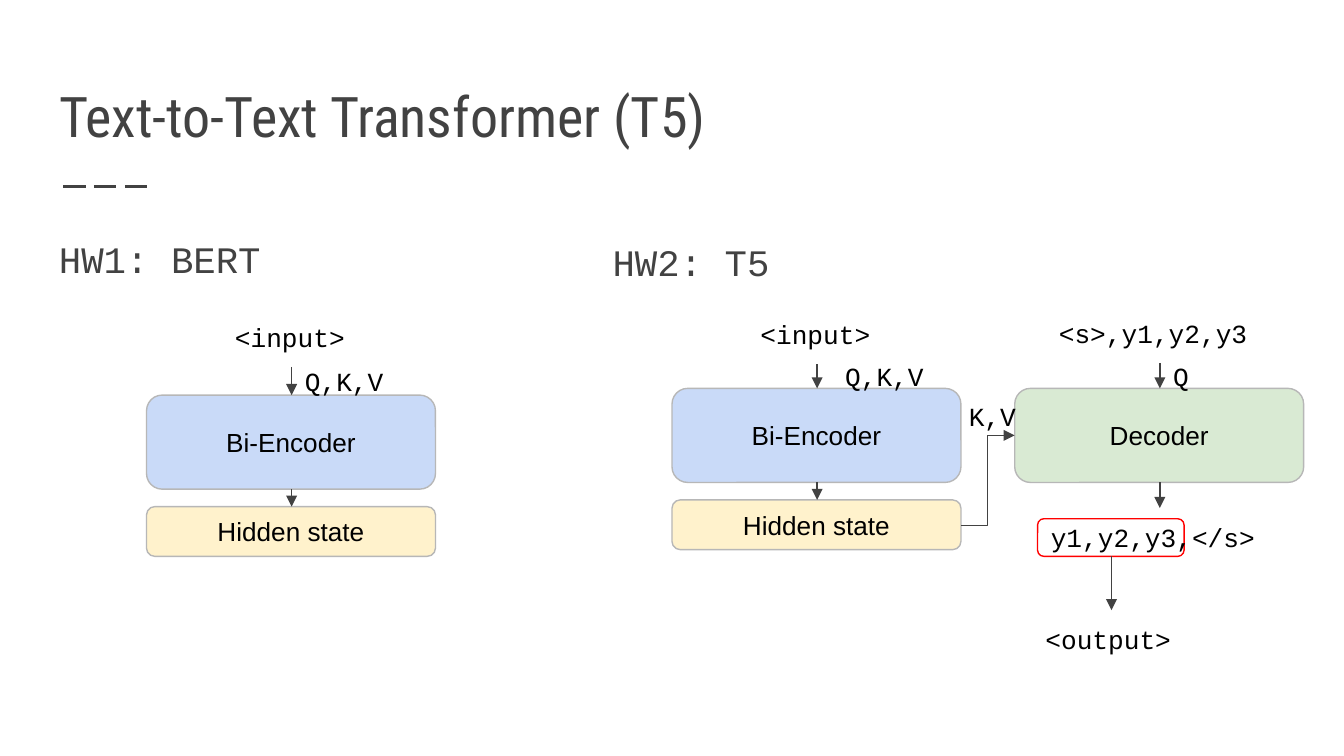
from lxml import etree
from pptx import Presentation
from pptx import util as u
from pptx.dml.color import RGBColor
from pptx.enum import dml, shapes, text
from pptx.oxml.ns import qn

PX = u.Inches(0.01)  # 100 px to the inch
INK, BLACK, BORDER = "424242", "000000", "B7B7B7"
BLUE, YELLOW, GREEN, RED = "C9DAF8", "FFF2CC", "D9EAD3", "FF0000"
color = RGBColor.from_string


def write(shape, words, font, size, ink, align="LEFT", anchor="TOP"):
    frame = shape.text_frame
    frame.text = words
    settings = {"word_wrap": True, "auto_size": text.MSO_AUTO_SIZE.NONE,
                "vertical_anchor": text.MSO_ANCHOR[anchor]}
    for side in ("left", "top", "right", "bottom"):
        settings["margin_" + side] = 10 * PX
    for name, value in settings.items():
        setattr(frame, name, value)
    para = frame.paragraphs[0]
    para.alignment = text.PP_ALIGN[align]
    span = para.runs[0]
    for name, value in {"name": font, "size": u.Pt(size), "bold": False}.items():
        setattr(span.font, name, value)
    span.font.color.rgb = color(ink)
    return para


def connect(kind, start_x, start_y, end_x, end_y, width=0.75):
    ends = [n * PX for n in (start_x, start_y, end_x, end_y)]
    line = page.shapes.add_connector(shapes.MSO_CONNECTOR[kind], *ends)
    line.line.color.rgb = color(INK)
    line.line.width = u.Pt(width)
    etree.SubElement(line._element.spPr, qn("a:effectLst"))
    return line


deck = Presentation()
deck.slide_width = 1000 * PX
deck.slide_height = deck.slide_width * 9 // 16
page = deck.slides.add_slide(deck.slide_layouts[5])

# Title with its dashed rule
title = page.shapes.title
for name, value in {"left": 34, "top": 41, "width": 932, "height": 80}.items():
    setattr(title, name, value * PX)
write(title, "Text-to-Text Transformer (T5)", "Roboto Condensed", 30, INK, anchor="BOTTOM")
rule = connect("STRAIGHT", 47, 139, 114, 139, 1.5)
rule.line.dash_style = dml.MSO_LINE.LONG_DASH

# Model blocks
blocks = [
    ("Decoder", 755, 289, 215, 70, GREEN, BORDER),
    ("Bi-Encoder", 109, 294, 215, 70, BLUE, BORDER),
    ("Hidden state", 109, 377, 215, 37, YELLOW, BORDER),
    ("Bi-Encoder", 500, 289, 215, 70, BLUE, BORDER),
    ("Hidden state", 500, 372, 215, 37, YELLOW, BORDER),
    ("", 772, 386, 109, 28, None, RED),
]
for words, left, top, width, height, fill, border in blocks:
    block = page.shapes.add_shape(shapes.MSO_SHAPE.ROUNDED_RECTANGLE,
                                  left * PX, top * PX, width * PX, height * PX)
    block.shadow.inherit = False
    if fill:
        block.fill.solid()
        block.fill.fore_color.rgb = color(fill)
    else:
        block.fill.background()
    block.line.color.rgb = color(border)
    block.line.width = u.Pt(0.75)
    if words:
        write(block, words, "Arial", 14, BLACK, "CENTER", "MIDDLE")

# Arrows between the steps
arrows = [
    ("STRAIGHT", 217, 273, 217, 294),
    ("STRAIGHT", 217, 364, 217, 377),
    ("STRAIGHT", 608, 271, 608, 289),
    ("STRAIGHT", 608, 359, 608, 372),
    ("STRAIGHT", 863, 270, 863, 289),
    ("STRAIGHT", 863, 359, 863, 378),
    ("STRAIGHT", 827, 414, 827, 454),
    ("ELBOW", 715, 391, 755, 324),
]
for arrow in arrows:
    outline = connect(*arrow).line._get_or_add_ln()
    etree.SubElement(outline, qn("a:tailEnd"), type="triangle")

# Headings and labels
labels = [
    ("HW1: BERT", 34, 161, 437, 48, 20, INK),
    ("HW2: T5", 446, 163, 207, 48, 20, INK),
    ("<input>", 165, 229, 104, 44, 14, BLACK),
    ("<input>", 556, 227, 104, 44, 14, BLACK),
    ("<s>,y1,y2,y3", 778, 226, 169, 44, 14, BLACK),
    ("y1,y2,y3,</s>", 772, 378, 181, 44, 14, BLACK),
    ("<output>", 768, 454, 118, 44, 14, BLACK),
    ("Q,K,V", 217, 262, 81, 44, 14, BLACK),
    ("Q,K,V", 619, 258, 81, 44, 14, BLACK),
    ("Q", 863, 258, 81, 44, 14, BLACK),
    ("K,V", 711, 288, 71, 44, 14, BLACK),
]
for words, left, top, width, height, size, ink in labels:
    box = page.shapes.add_textbox(left * PX, top * PX, width * PX, height * PX)
    para = write(box, words, "Courier New", size, ink)
    if size == 20:
        para.line_spacing = 1.15
        para.space_after = u.Pt(12)

deck.save("out.pptx")
